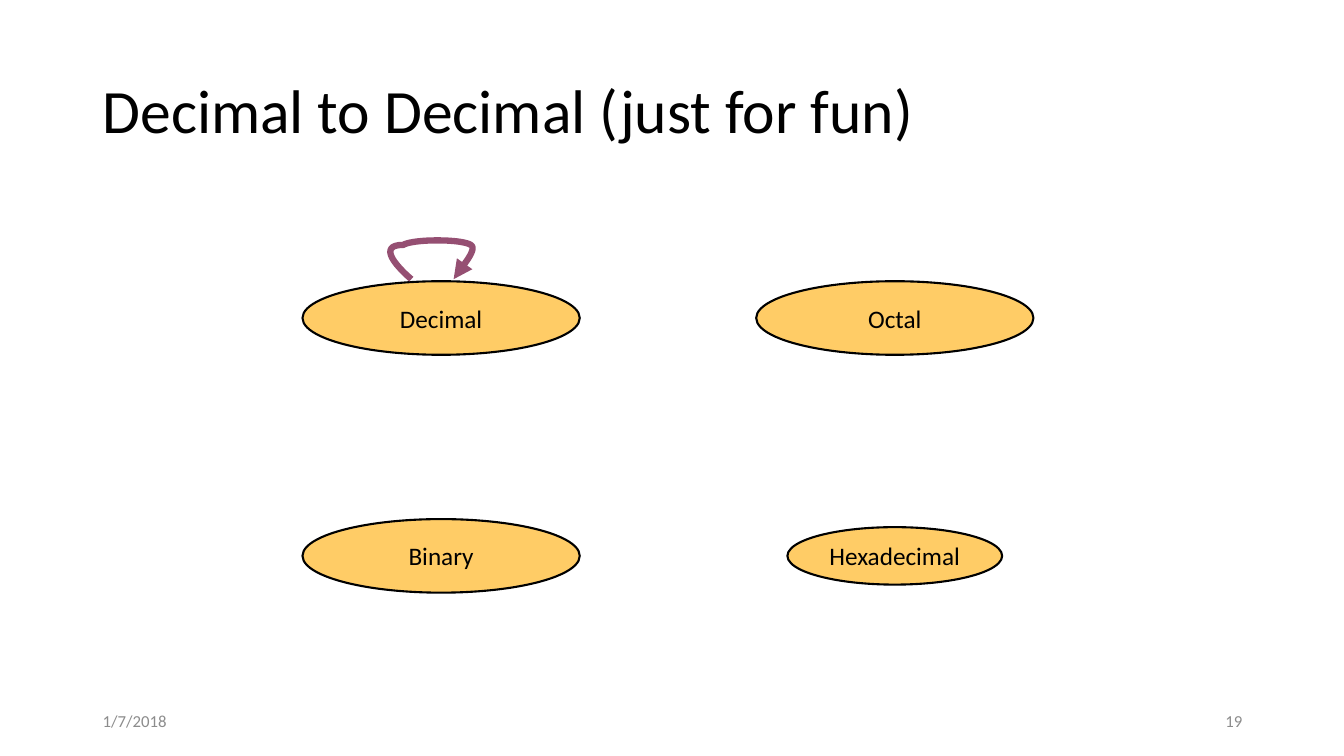
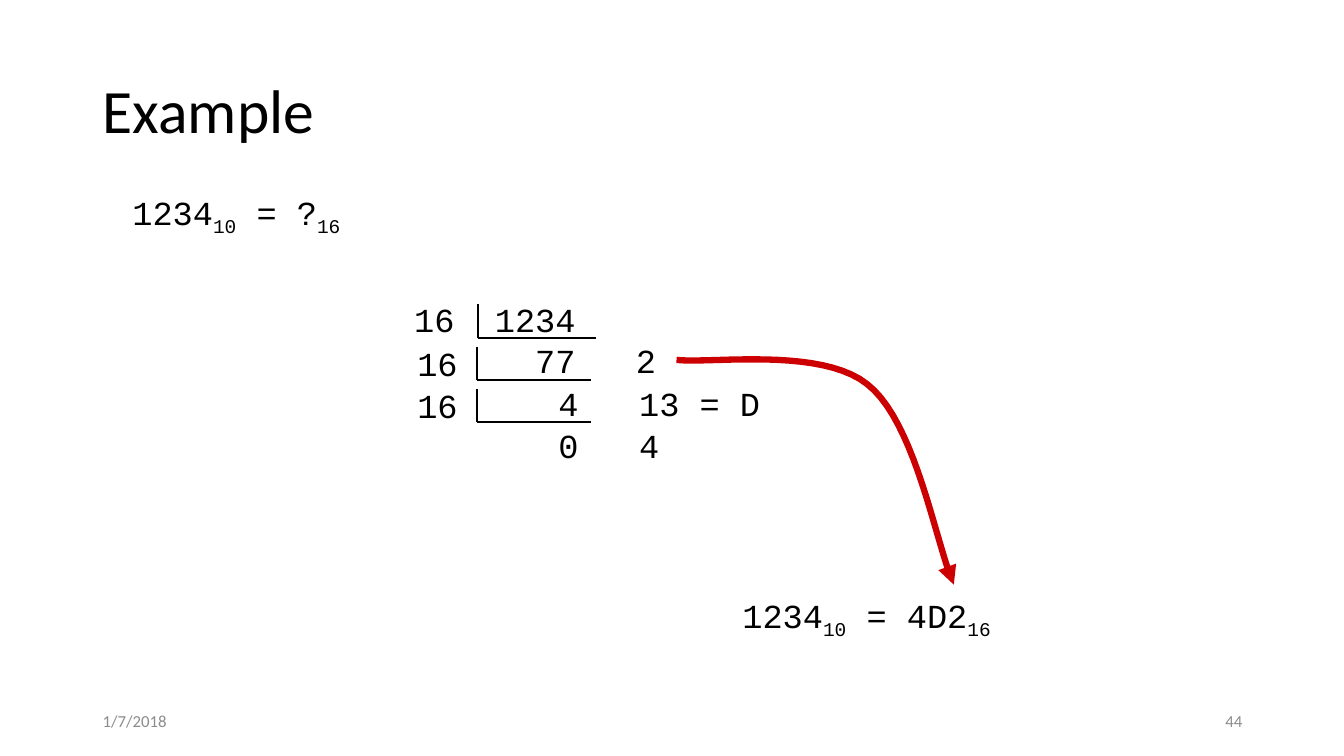
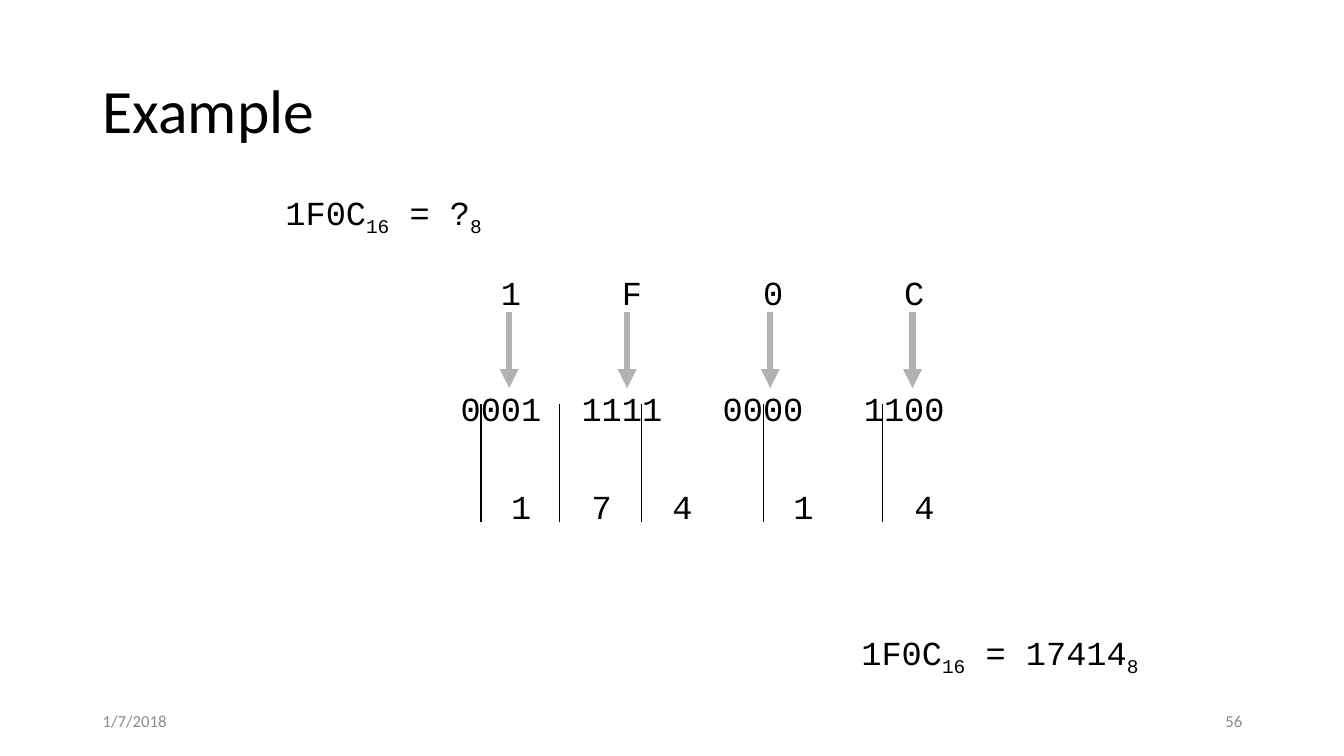
from pptx import Presentation
from pptx.dml.color import RGBColor
from pptx.enum.shapes import MSO_CONNECTOR as CONNECTOR, MSO_SHAPE as SHAPE
from pptx.enum.text import MSO_ANCHOR as ANCHOR, PP_ALIGN as ALIGN
from pptx.oxml.ns import qn
from pptx.util import Pt
from lxml.etree import SubElement

PX = 9144  # 100 px to the inch
BODY, MONO = "Calibri", "Courier New"
BLACK, GREY, ARROW_GREY = "000000", "8C8C8C", "B2B2B2"
AMBER, PLUM, RED = "FFCC66", "954F72", "CC0000"
color = RGBColor.from_string


def write(slide, text, box=None, shape=None, font=MONO, size=24, fill=BLACK,
          align=ALIGN.LEFT, anchor=ANCHOR.TOP, wrap=True, spacing=None,
          gap=0, tabs=()):
    """Write text; _x_ is a subscript, and tabs lists the stops of each line."""
    if shape is None:
        shape = slide.shapes.add_textbox(*[value * PX for value in box])
    frame = shape.text_frame
    frame.word_wrap, frame.vertical_anchor = wrap, anchor
    for row, line in enumerate(text.split("\n")):
        paragraph = frame.add_paragraph() if row else frame.paragraphs[0]
        paragraph.alignment = align
        if spacing:
            paragraph.line_spacing = spacing
        if row and gap:
            paragraph.space_before = Pt(gap)
        if tabs:
            stops = SubElement(paragraph._p.get_or_add_pPr(), qn("a:tabLst"))
            for position, side in tabs[row]:
                SubElement(stops, qn("a:tab"), pos=str(position * PX), algn=side)
        for index, part in enumerate(line.split("_")):
            if not part:
                continue
            run = paragraph.add_run()
            run.text = part
            run.font.name, run.font.size = font, Pt(size)
            run.font.color.rgb = color(fill)
            if index % 2:
                run._r.get_or_add_rPr().set("baseline", "-25000")


def stroke(shape, ink, width, arrow=False):
    """Give a shape or connector a plain line without a shadow."""
    shape.line.color.rgb = color(ink)
    shape.line.width = Pt(width)
    if arrow:
        SubElement(shape.line._get_or_add_ln(), qn("a:tailEnd"), type="triangle")
    SubElement(shape._element.spPr, qn("a:effectLst"))


presentation = Presentation()
presentation.slide_width, presentation.slide_height = 1333 * PX, 750 * PX

# Title, date and number of every slide
slides = []
for title, number in [("Decimal to Decimal (just for fun)", "19"),
                      ("Example", "44"), ("Example", "56")]:
    slide = presentation.slides.add_slide(presentation.slide_layouts[6])
    write(slide, title, (92, 40, 1150, 145), font=BODY, size=44,
          anchor=ANCHOR.MIDDLE, spacing=0.9)
    for text, left, align in [("1/7/2018", 92, ALIGN.LEFT),
                              (number, 942, ALIGN.RIGHT)]:
        write(slide, text, (left, 695, 300, 40), font=BODY, size=12, fill=GREY,
              align=align, anchor=ANCHOR.MIDDLE)
    slides.append(slide)
bases_slide, division_slide, grouping_slide = slides

# Number bases
for label, left, top, width, height in [("Decimal", 300, 279, 275, 73),
                                        ("Octal", 750, 279, 275, 73),
                                        ("Binary", 300, 515, 275, 73),
                                        ("Hexadecimal", 781, 523, 213, 57)]:
    ellipse = bases_slide.shapes.add_shape(
        SHAPE.OVAL, left * PX, top * PX, width * PX, height * PX)
    ellipse.fill.solid()
    ellipse.fill.fore_color.rgb = color(AMBER)
    stroke(ellipse, BLACK, 1.5)
    write(bases_slide, label, shape=ellipse, font=BODY, size=18,
          align=ALIGN.CENTER, anchor=ANCHOR.MIDDLE, wrap=False)

# Curved arrows: a start, then two control points and an end per cubic curve
loop_points = [(408, 277), (408, 277), (367, 243), (400, 243), (410, 237),
               (458, 237), (467, 243), (475, 248), (453, 270), (450, 277)]
remainder_points = [(671, 357), (702, 361), (814, 344), (860, 381),
                    (908, 418), (928, 539), (946, 580)]
STEPS = 20
for slide, points, ink in [(bases_slide, loop_points, PLUM),
                           (division_slide, remainder_points, RED)]:
    outline = []
    for first in range(0, len(points) - 1, 3):
        curve = points[first:first + 4]
        for step in range(1, STEPS + 1):
            t = step / STEPS
            weights = ((1 - t) ** 3, 3 * t * (1 - t) ** 2,
                       3 * t ** 2 * (1 - t), t ** 3)
            outline.append([sum(weight * point[axis] * PX
                                for weight, point in zip(weights, curve))
                            for axis in (0, 1)])
    start_x, start_y = points[0]
    builder = slide.shapes.build_freeform(start_x * PX, start_y * PX)
    builder.add_line_segments(outline, close=False)
    arrow = builder.convert_to_shape()
    arrow.fill.background()
    stroke(arrow, ink, 4.5, arrow=True)

# Questions and answers
for slide, text, box, align in [
        (division_slide, "1234_10_ = ?_16_", (76, 185, 317, 50), ALIGN.CENTER),
        (division_slide, "1234_10_ = 4D2_16_", (701, 585, 317, 50), ALIGN.CENTER),
        (grouping_slide, "1F0C_16_ = ?_8_", (147, 185, 467, 50), ALIGN.CENTER),
        (grouping_slide, "1F0C_16_ = 17414_8_", (672, 622, 467, 50), ALIGN.RIGHT)]:
    write(slide, text, box, align=align)

# Repeated division: quotients end at one stop, remainders start at the next
division_stops = [(160, "r"), (220, "l")]
for text, box in [("16\t1234\n\t77\t2", (401, 292, 270, 90)),
                  ("16\n\t4\t13 = D", (404, 335, 388, 90)),
                  ("16\n\t0\t4", (404, 377, 388, 90))]:
    write(division_slide, text, box, tabs=[division_stops] * 2)

# Digits and their bits, then the octal digits
digit_stops = [(left, "l") for left in (40, 160, 300, 440)]
bit_stops = [(left, "l") for left in (120, 260, 400)]
octal_stops = [(left, "l") for left in (80, 160, 280, 400)]
write(grouping_slide, "\t1\tF\t0\tC\n0001\t1111\t0000\t1100",
      (447, 265, 533, 250), gap=54, tabs=[digit_stops, bit_stops])
write(grouping_slide, "1\t7\t4\t1\t4", (497, 477, 462, 50), tabs=[octal_stops])

# Straight lines: division brackets, digit arrows and group dividers
lines = []
for left, top, right in [(474, 302, 591), (473, 344, 586), (473, 386, 586)]:
    bottom = top + 33
    lines.append((division_slide, left, top, left, bottom, BLACK, 1.5, False))
    lines.append((division_slide, left, bottom, right, bottom, BLACK, 1.5, False))
for x in (505, 622, 764, 905):
    lines.append((grouping_slide, x, 310, x, 385, ARROW_GREY, 4.5, True))
for x in (477, 555, 636, 757, 875):
    lines.append((grouping_slide, x, 401, x, 518, BLACK, 1, False))
for slide, x1, y1, x2, y2, ink, width, has_arrow in lines:
    connector = slide.shapes.add_connector(
        CONNECTOR.STRAIGHT, x1 * PX, y1 * PX, x2 * PX, y2 * PX)
    stroke(connector, ink, width, has_arrow)

presentation.save("out.pptx")
